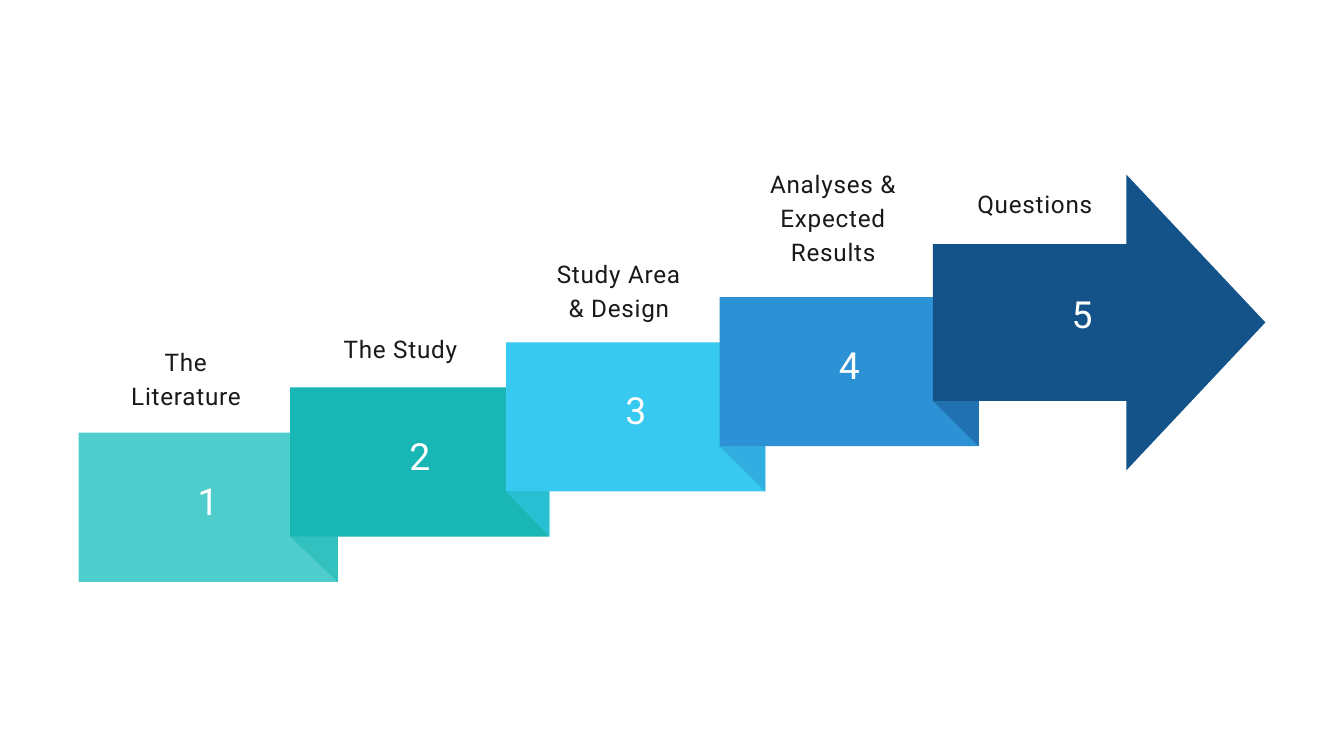
from dataclasses import dataclass
from typing import Any

from lxml.etree import SubElement
from pptx import Presentation
from pptx.dml.color import RGBColor
from pptx.enum.shapes import MSO_SHAPE
from pptx.enum.text import MSO_ANCHOR, PP_ALIGN
from pptx.oxml.ns import qn
from pptx.util import Cm, Pt

BLOCK_WIDTH = 9.8
BLOCK_HEIGHT = 5.64
FIRST_TOP = 16.36
STEP_RISE = 1.71
NUMBER_RAISE = 0.8
LABEL_LINE = 1.26


@dataclass(frozen=True)
class Box:
    left: float
    top: float
    width: float
    height: float

    def lengths(self) -> tuple[Cm, Cm, Cm, Cm]:
        return Cm(self.left), Cm(self.top), Cm(self.width), Cm(self.height)


@dataclass(frozen=True)
class Step:
    label: str
    color: str
    left: float
    label_left: float
    label_top: float
    label_lines: int
    label_width: float = 5.23


@dataclass(frozen=True)
class TextStyle:
    size: float
    color: str
    line_spacing: float
    letter_spacing: float
    inset: float
    anchor: MSO_ANCHOR


NUMBER_STYLE = TextStyle(40, "FFFFFF", 56, 2, 0.15, MSO_ANCHOR.MIDDLE)
LABEL_STYLE = TextStyle(26, "191919", 36.4, 0.8, 0, MSO_ANCHOR.TOP)

STEPS = [
    Step("The Literature", "4FCDCC", 2.97, 4.19, 12.95, 2, 5.69),
    Step("The Study", "18B6B4", 10.97, 12.52, 12.45, 1),
    Step("Study Area & Design", "37C9EF", 19.13, 20.78, 9.6, 2),
    Step("Analyses & Expected Results", "2C92D5", 27.2, 28.88, 6.22, 3),
    Step("Questions", "13538A", 35.26, 36.5, 6.96, 1),
]

ARROW = Box(STEPS[-1].left, 6.6, 12.57, 11.18)
ARROW_NUMBER = Box(STEPS[-1].left, 8.26, 11.28, 6.91)


def apply_format(target: Any, values: dict[str, Any]) -> None:
    for name, value in values.items():
        setattr(target, name, value)


def paint(color_format: Any, color: str) -> None:
    color_format.rgb = RGBColor.from_string(color)


def add_solid(slide: Any, kind: MSO_SHAPE, box: Box, color: str) -> Any:
    shape = slide.shapes.add_shape(kind, *box.lengths())
    shape.shadow.inherit = False
    shape.line.fill.background()
    shape.fill.solid()
    paint(shape.fill.fore_color, color)
    return shape


def add_text(slide: Any, text: str, box: Box, style: TextStyle) -> None:
    frame = slide.shapes.add_textbox(*box.lengths()).text_frame
    inset = Cm(style.inset)
    apply_format(frame, {
        "word_wrap": True, "vertical_anchor": style.anchor,
        "margin_left": inset, "margin_right": inset,
        "margin_top": inset, "margin_bottom": inset,
    })
    paragraph = frame.paragraphs[0]
    apply_format(paragraph, {
        "alignment": PP_ALIGN.CENTER, "line_spacing": Pt(style.line_spacing),
    })
    run = paragraph.add_run()
    run.text = text
    apply_format(run.font, {"name": "Roboto", "size": Pt(style.size)})
    paint(run.font.color, style.color)
    run._r.get_or_add_rPr().set("spc", str(round(style.letter_spacing * 100)))


def block_box(index: int) -> Box:
    top = FIRST_TOP - index * STEP_RISE
    return Box(STEPS[index].left, top, BLOCK_WIDTH, BLOCK_HEIGHT)


def add_block(slide: Any, index: int) -> None:
    box = block_box(index)
    add_solid(slide, MSO_SHAPE.RECTANGLE, box, STEPS[index].color)
    number_box = Box(box.left, box.top - NUMBER_RAISE,
                     box.width, box.height + NUMBER_RAISE)
    add_text(slide, str(index + 1), number_box, NUMBER_STYLE)


def add_arrow(slide: Any) -> None:
    arrow = add_solid(slide, MSO_SHAPE.RIGHT_ARROW, ARROW, STEPS[-1].color)
    arrow.adjustments[0] = 0.53
    arrow.adjustments[1] = 0.47
    add_text(slide, str(len(STEPS)), ARROW_NUMBER, NUMBER_STYLE)


def add_fold(slide: Any, index: int) -> None:
    box = block_box(index)
    width = STEPS[index - 1].left + BLOCK_WIDTH - box.left
    fold_box = Box(box.left, box.top + box.height, width, STEP_RISE)
    fold = add_solid(slide, MSO_SHAPE.RIGHT_TRIANGLE, fold_box, STEPS[index].color)
    fold.rotation = 180
    color = fold._element.spPr.find(qn("a:solidFill")).find(qn("a:srgbClr"))
    SubElement(color, qn("a:alpha")).set("val", "50000")


def add_label(slide: Any, step: Step) -> None:
    box = Box(step.label_left, step.label_top,
              step.label_width, step.label_lines * LABEL_LINE)
    add_text(slide, step.label, box, LABEL_STYLE)


def main() -> None:
    presentation = Presentation()
    apply_format(presentation, {"slide_width": Cm(50.8), "slide_height": Cm(28.58)})
    slide = presentation.slides.add_slide(presentation.slide_layouts[6])
    for index in range(len(STEPS) - 1):
        add_block(slide, index)
    add_arrow(slide)
    for index in range(1, len(STEPS)):
        add_fold(slide, index)
    for step in STEPS:
        add_label(slide, step)
    presentation.save("out.pptx")


if __name__ == "__main__":
    main()
